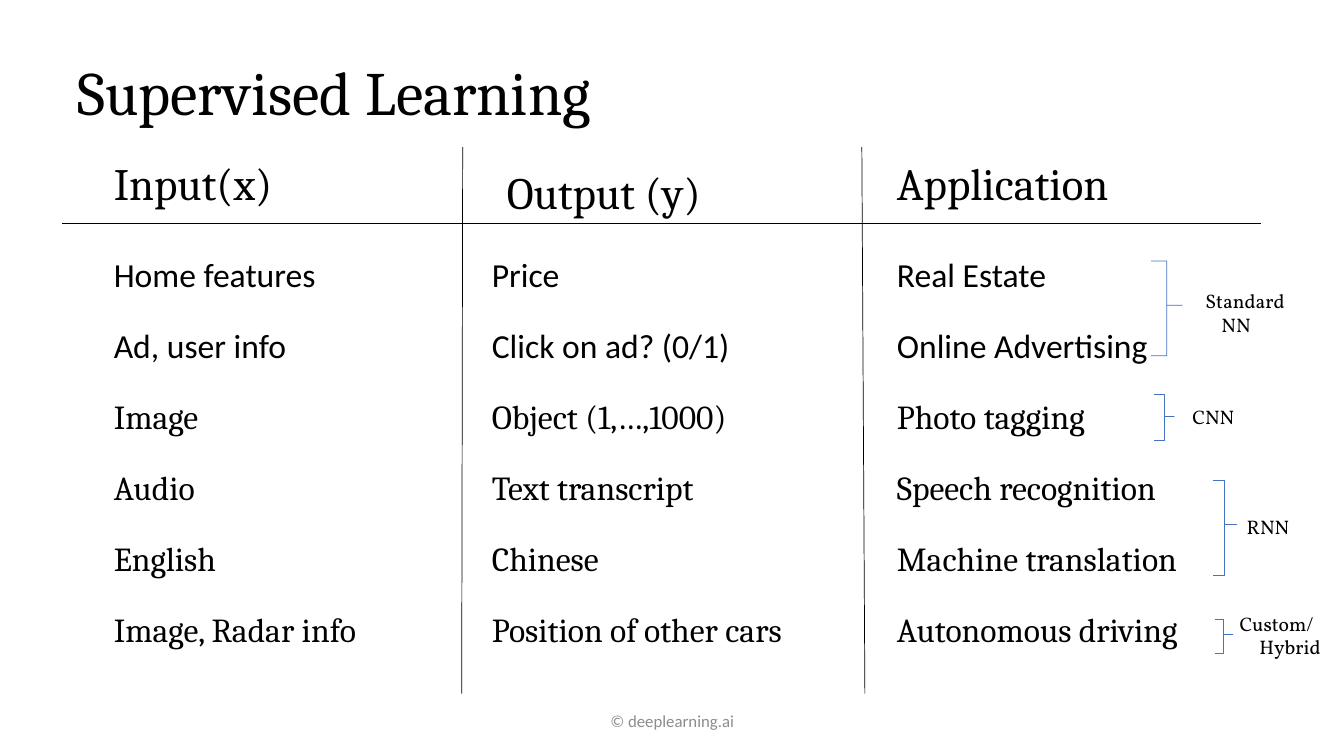
from lxml.etree import SubElement
from pptx import Presentation
from pptx.dml.color import RGBColor
from pptx.enum.shapes import MSO_CONNECTOR as Connector, MSO_SHAPE as Shape
from pptx.enum.text import MSO_ANCHOR as Anchor, MSO_AUTO_SIZE as AutoSize, PP_ALIGN as Align
from pptx.oxml.ns import qn
from pptx.util import Pt

BLACK, BLUE, GREY = "000000", "4472C4", "8C8C8C"
COLUMN_LEFTS = (74.2, 344.2, 633.6)
ROW_TOP, ROW_PITCH, ROW_HEIGHT = 178, 50.7, 36

HEADINGS = [
    ("Input(x)", 74.2, 108, 225.4, Align.LEFT),
    ("Output (y)", 344.2, 113.8, 174.2, Align.CENTER),
    ("Application", 633.6, 108, 225.4, Align.LEFT),
]
ROWS = [
    ("Calibri", ("Home features", 179.3), ("Price", 72), ("Real Estate", 145.4)),
    ("Calibri", ("Ad, user info", 157.7), ("Click on ad? (0/1)", 208.1), ("Online Advertising", 227.5)),
    ("Cambria", ("Image", 84.2), ("Object (1,…,1000)", 215.3), ("Photo tagging", 169.9)),
    ("Cambria", ("Audio", 80.6), ("Text transcript", 185), ("Speech recognition", 225.4)),
    ("Cambria", ("English", 100.8), ("Chinese", 104.4), ("Machine translation", 241.9)),
    ("Cambria", ("Image, Radar info", 216.7), ("Position of other cars", 252), ("Autonomous driving", 241.9)),
]
RULES = [
    (44.6, 159.8, 900.7, 159.8),
    (615.6, 105.1, 617.8, 495.4),
    (330.5, 105.1, 329.8, 495.4),
]
NETWORKS = [
    ((822.2, 186.5, 22.3, 67.7), 0.466, "Standard NN", (853.9, 203, 88.6, 41), 11.5),
    ((824.4, 281.5, 14.4, 33.1), 0.489, "CNN", (844.6, 285.8, 88.6, 24.5), 0),
    ((866.2, 343.4, 17.3, 67.7), 0.466, "RNN", (883.4, 364.3, 60.5, 24.5), 0),
    ((867.6, 442.1, 13, 24.5), 0.466, "Custom/ Hybrid", (878.4, 433.4, 73.4, 41), 14),
]


def color(hex_value):
    return RGBColor.from_string(hex_value)


def write(frame, text, size, font, hex_value=BLACK, align=Align.LEFT, hanging=0):
    frame.word_wrap = True
    frame.auto_size = AutoSize.NONE
    para = frame.paragraphs[0]
    para.alignment = align
    if hanging:
        properties = para._p.get_or_add_pPr()
        properties.set("marL", str(Pt(hanging)))
        properties.set("indent", str(-Pt(hanging)))
    span = para.add_run()
    span.text = text
    span.font.size = Pt(size)
    span.font.name = font
    span.font.color.rgb = color(hex_value)
    return para


def add_title(page, text):
    title = page.shapes.title
    title.left, title.top, title.width, title.height = map(Pt, (48, 16, 828, 104.4))
    title.text_frame.vertical_anchor = Anchor.MIDDLE
    write(title.text_frame, text, 44, "Cambria").line_spacing = 0.9


def add_text(page, bounds, *content, anchor=Anchor.TOP, **style):
    box = page.shapes.add_textbox(*map(Pt, bounds))
    box.text_frame.vertical_anchor = anchor
    write(box.text_frame, *content, **style)


def add_rule(page, ends):
    rule = page.shapes.add_connector(Connector.STRAIGHT, *map(Pt, ends))
    rule.line.color.rgb = color(BLACK)
    rule.line.width = Pt(0.5)
    SubElement(rule._element.spPr, qn("a:effectLst"))


def add_bracket(page, bounds, middle):
    bracket = page.shapes.add_shape(Shape.RIGHT_BRACE, *map(Pt, bounds))
    bracket.adjustments[0] = 0
    bracket.adjustments[1] = middle
    bracket.fill.background()
    bracket.line.color.rgb = color(BLUE)
    bracket.line.width = Pt(0.5)
    bracket.shadow.inherit = False


def main():
    deck = Presentation()
    deck.slide_width, deck.slide_height = Pt(960), Pt(540)
    page = deck.slides.add_slide(deck.slide_layouts[5])
    add_title(page, "Supervised Learning")
    for ends in RULES:
        add_rule(page, ends)
    for text, left, top, width, align in HEADINGS:
        add_text(page, (left, top, width, 67.7), text, 32, "Cambria", align=align)
    for index, (font, *cells) in enumerate(ROWS):
        top = ROW_TOP + index * ROW_PITCH
        for left, (text, width) in zip(COLUMN_LEFTS, cells):
            add_text(page, (left, top, width, ROW_HEIGHT), text, 24, font)
    for bracket, middle, name, label, hanging in NETWORKS:
        add_bracket(page, bracket, middle)
        add_text(page, label, name, 14, "Vollkorn", hanging=hanging)
    add_text(page, (318.2, 500.4, 324, 28.8), "© deeplearning.ai", 12, "Calibri",
             hex_value=GREY, align=Align.CENTER, anchor=Anchor.MIDDLE)
    deck.save("out.pptx")


if __name__ == "__main__":
    main()
